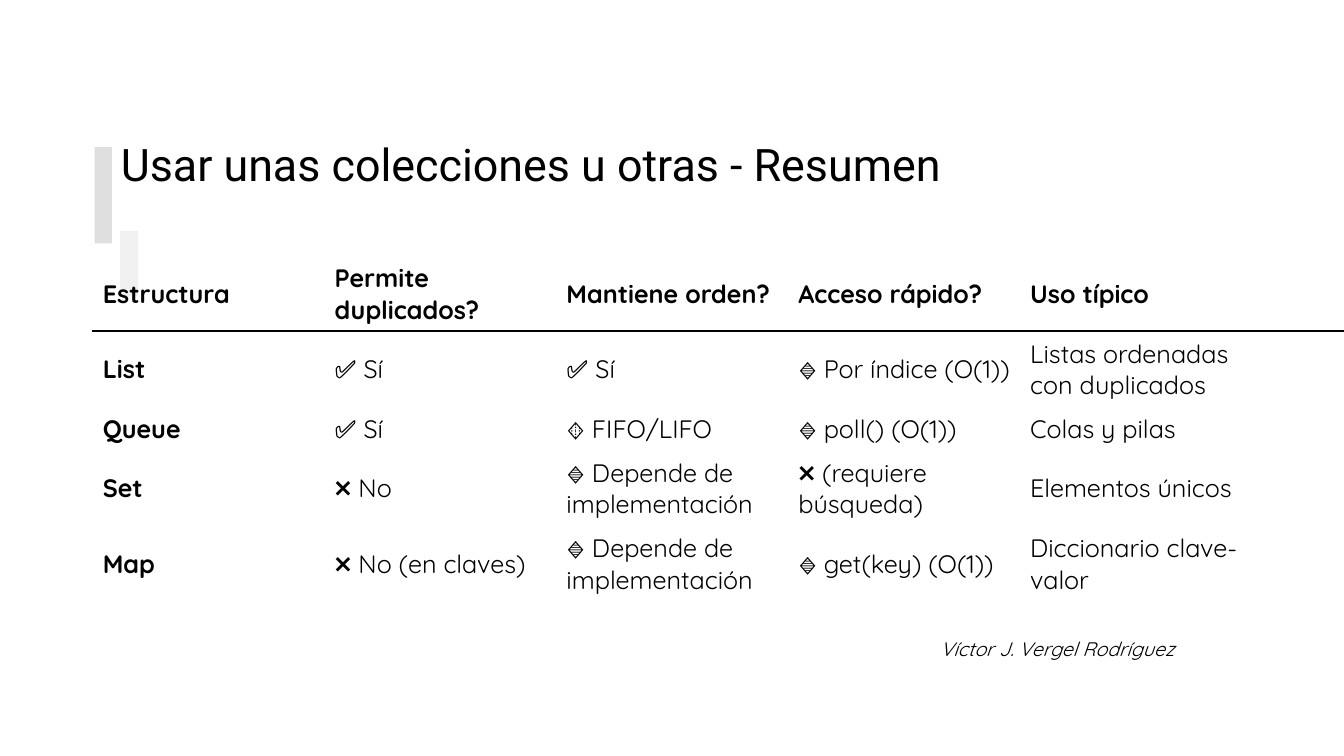
"""Build a slide that sums up when to use each kind of collection."""
from typing import NamedTuple

from pptx import Presentation
from pptx.dml.color import RGBColor
from pptx.enum.shapes import MSO_SHAPE as Shape
from pptx.enum.text import MSO_ANCHOR as Anchor, MSO_AUTO_SIZE as Fit, PP_ALIGN as Align
from pptx.oxml.ns import qn
from pptx.util import Pt

BLACK = "000000"
BODY = "Quicksand"
PLAIN = "{2D5ABB26-0587-4C30-8999-92F81FD0307C}"
WIDTH, HEIGHT = 960, 540
LEFT, TOP = 66.24, 182.88
COL = 165.6
TALL, SHORT = 54, 31


class Box(NamedTuple):
    left: float
    top: float
    width: float
    height: float


class Bar(NamedTuple):
    box: Box
    fill: str
    line: float = 0


class Row(NamedTuple):
    height: float
    cells: tuple[str, ...]


ACCENTS = (
    Bar(Box(67.68, 105.12, 12.24, 68.7), "DFDFDF"),
    Bar(Box(85.68, 164.88, 12.96, 46.8), "F0F0F0"),
)
RULE = Bar(Box(LEFT, 236.16, WIDTH, 1), BLACK, 0.75)
ROWS = (
    Row(TALL, ("Estructura", "Permite duplicados?", "Mantiene orden?",
               "Acceso rápido?", "Uso típico")),
    Row(TALL, ("List", "✅ Sí", "✅ Sí", "🔹 Por índice (O(1))",
               "Listas ordenadas con duplicados")),
    Row(SHORT, ("Queue", "✅ Sí", "🔸 FIFO/LIFO", "🔹 poll() (O(1))",
                "Colas y pilas")),
    Row(TALL, ("Set", "❌ No", "🔹 Depende de implementación",
               "❌ (requiere búsqueda)", "Elementos únicos")),
    Row(TALL, ("Map", "❌ No (en claves)", "🔹 Depende de implementación",
               "🔹 get(key) (O(1))", "Diccionario clave-valor")),
)


def color(code: str) -> RGBColor:
    return RGBColor.from_string(code)


def place(box: Box) -> tuple[Pt, ...]:
    return tuple(Pt(value) for value in box)


def write(frame, text: str, *, size: float = 18, face: str = BODY,
          bold: bool = False, italic: bool = False,
          align: Align = Align.LEFT, space: float = 1) -> None:
    frame.word_wrap = True
    para = frame.paragraphs[0]
    para.alignment = align
    para.line_spacing = space
    run = para.add_run()
    run.text = text
    font = run.font
    font.size, font.name = Pt(size), face
    font.bold, font.italic = bold, italic
    font.color.rgb = color(BLACK)


def draw_bar(slide, bar: Bar) -> None:
    shape = slide.shapes.add_shape(Shape.RECTANGLE, *place(bar.box))
    shape.shadow.inherit = False
    shape.fill.solid()
    shape.fill.fore_color.rgb = color(bar.fill)
    if bar.line:
        shape.line.width = Pt(bar.line)
        shape.line.color.rgb = color(bar.fill)
    else:
        shape.line.fill.background()


def draw_title(slide, text: str) -> None:
    frame = slide.shapes.add_textbox(*place(Box(79.2, 94.32, 766, 53.3))).text_frame
    frame.vertical_anchor = Anchor.MIDDLE
    frame.margin_top, frame.margin_bottom = Pt(0), Pt(3.6)
    write(frame, text, size=32, face="Roboto", space=0.9)


def draw_author(slide, name: str) -> None:
    frame = slide.shapes.add_textbox(*place(Box(647.28, 451.44, 198.72, 24.48))).text_frame
    frame.auto_size = Fit.SHAPE_TO_FIT_TEXT
    write(frame, name, size=14, italic=True, align=Align.RIGHT)


def draw_table(slide, rows: tuple[Row, ...]) -> None:
    count = len(rows[0].cells)
    box = Box(LEFT, TOP, COL * count, sum(row.height for row in rows))
    holder = slide.shapes.add_table(len(rows), count, *place(box))
    for style in holder.element.iter(qn("a:tableStyleId")):
        style.text = PLAIN
    table = holder.table
    table.horz_banding = False
    for col in table.columns:
        col.width = Pt(COL)
    for i, row in enumerate(rows):
        table.rows[i].height = Pt(row.height)
        for j, text in enumerate(row.cells):
            cell = table.cell(i, j)
            cell.fill.background()
            cell.vertical_anchor = Anchor.MIDDLE
            write(cell.text_frame, text, bold=i == 0 or j == 0)


def main() -> None:
    deck = Presentation()
    deck.slide_width, deck.slide_height = Pt(WIDTH), Pt(HEIGHT)
    slide = deck.slides.add_slide(deck.slide_layouts[6])
    for bar in ACCENTS:
        draw_bar(slide, bar)
    draw_author(slide, "Víctor J. Vergel Rodríguez")
    draw_title(slide, "Usar unas colecciones u otras - Resumen")
    draw_table(slide, ROWS)
    draw_bar(slide, RULE)
    deck.save("out.pptx")


if __name__ == "__main__":
    main()
